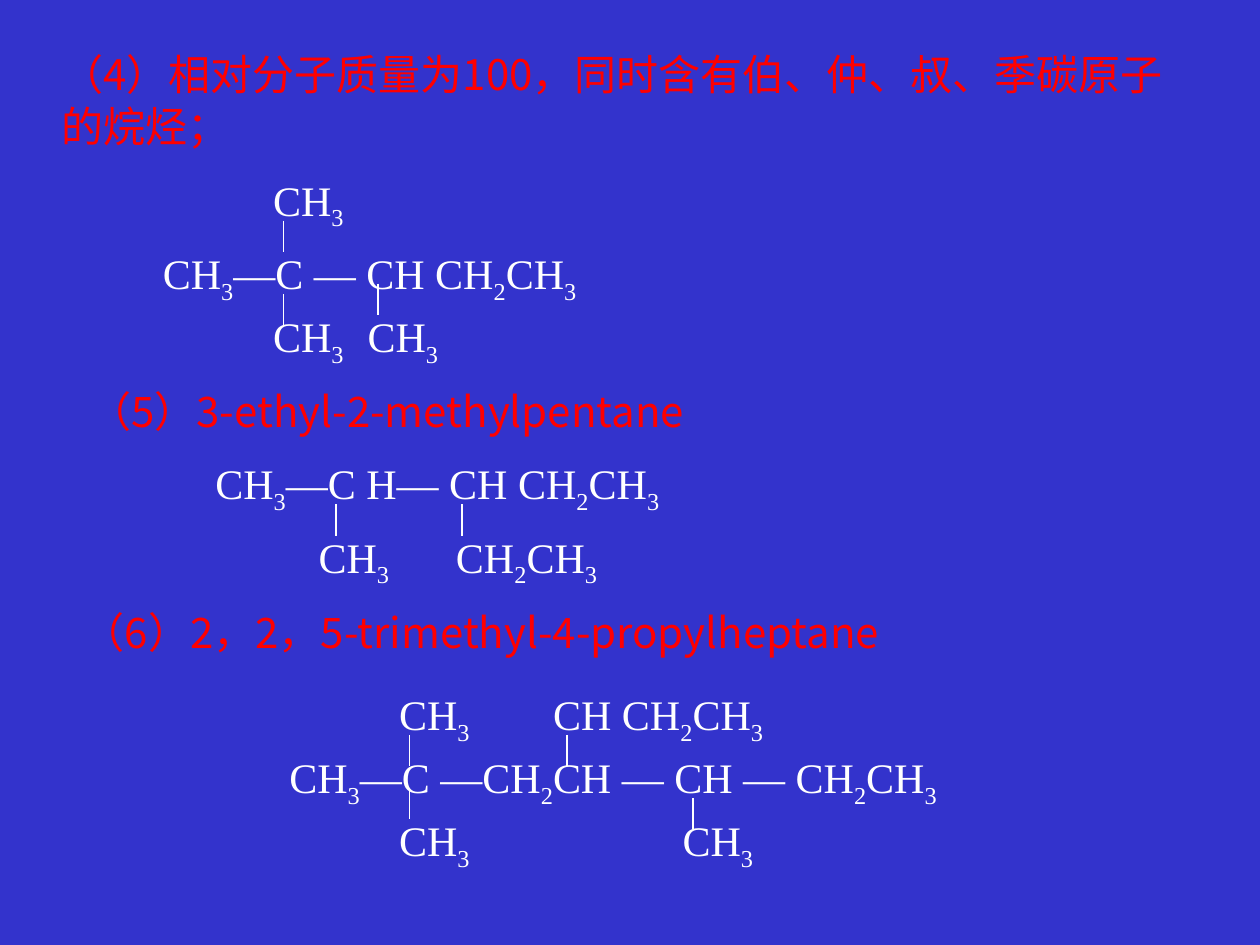
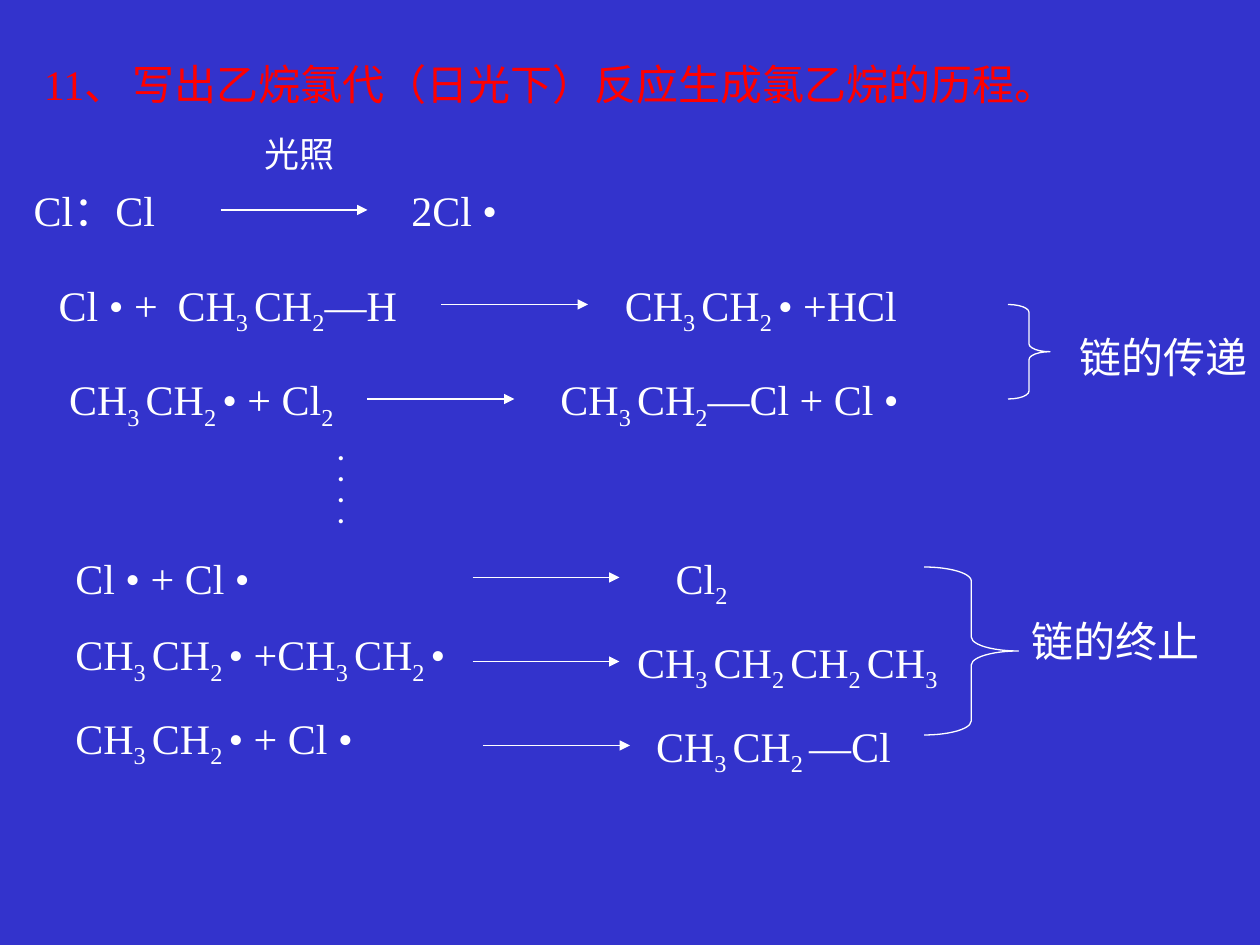
from lxml.etree import SubElement
from pptx import Presentation
from pptx.dml.color import RGBColor
from pptx.enum.shapes import MSO_CONNECTOR, MSO_SHAPE
from pptx.enum.text import MSO_AUTO_SIZE, PP_ALIGN
from pptx.oxml.ns import qn
from pptx.util import Pt

COLORS = {"back": "3333CC", "title": "FF0000", "ink": "FFFFFF"}
SANS = "Noto Sans CJK SC"
SERIF = "Times New Roman"
BOND = 18
ARROW = 84
METHYL = ("CH_3", 56)


def paint(name):
    return RGBColor.from_string(COLORS[name])


def add_page(deck):
    slide = deck.slides.add_slide(deck.slide_layouts[6])
    slide.background.fill.solid()
    slide.background.fill.fore_color.rgb = paint("back")
    return slide


def add_run(para, text, low=False, size=None):
    if text:
        run = para.add_run()
        run.text = text
        if low:
            run.font._element.set("baseline", "-25000")
        if size:
            run.font.size = Pt(size)


def fill_para(para, line):
    plain, *parts = line.split("_")
    add_run(para, plain)
    for part in parts:
        size = 2 if part[1:2] == " " else 1
        add_run(para, part[:size], True)
        add_run(para, part[size:])


def add_text(slide, box, text, color="ink", face=SERIF, size=24,
             wrap=False, gap=0, tab=None, align=PP_ALIGN.LEFT):
    frame = slide.shapes.add_textbox(*map(Pt, box)).text_frame
    frame.word_wrap = wrap
    frame.auto_size = MSO_AUTO_SIZE.SHAPE_TO_FIT_TEXT
    for i, line in enumerate(text.split("\n")):
        para = frame.paragraphs[0] if i == 0 else frame.add_paragraph()
        para.alignment = align
        if i and gap:
            para.space_before = Pt(gap)
        if tab:
            tabs = SubElement(para._p.get_or_add_pPr(), qn("a:tabLst"))
            SubElement(tabs, qn("a:tab"), pos=str(Pt(tab)), algn="l")
        fill_para(para, line)
        font = para.font
        font.size = Pt(size)
        font.color.rgb = paint(color)
        font.name = face
        SubElement(font._element, qn("a:ea"), typeface=SANS)
    return frame


def add_line(slide, x, y, dx, dy, head=False):
    ends = map(Pt, (x, y, x + dx, y + dy))
    line = slide.shapes.add_connector(MSO_CONNECTOR.STRAIGHT, *ends)
    line.line.color.rgb = paint("ink")
    line.line.width = Pt(0.75)
    if head:
        SubElement(line.line._get_or_add_ln(), qn("a:tailEnd"), type="triangle")
    SubElement(line._element.spPr, qn("a:effectLst"))


def add_brace(slide, box, label, left, top):
    x, y, width, height = box
    brace = slide.shapes.add_shape(MSO_SHAPE.RIGHT_BRACE, *map(Pt, box))
    brace.shadow.inherit = False
    brace.fill.background()
    brace.line.color.rgb = paint("ink")
    brace.line.width = Pt(0.75)
    brace.adjustments[0] = height / 12 / width
    add_text(slide, (x + left, y + top, 112, 36), label)


def add_alkane(slide, x, y, groups, bonds):
    for dx, dy, text, width in groups:
        add_text(slide, (x + dx, y + dy, width, 40.3), text)
    for dx, dy in bonds:
        add_line(slide, x + dx, y + dy, 0, BOND)


def add_step(slide, y, start, arrow, end):
    for part in (start, end):
        if part:
            x, width, text = part
            high = 40.3 if "_" in text else 36
            tab = 67.9 if "\t" in text else None
            add_text(slide, (x, y, width, high), text, tab=tab)
    add_line(slide, arrow, y + BOND, ARROW, 0, True)


def names_page(deck):
    slide = add_page(deck)
    heads = [
        ((28, 24, 669, 67), "（4）相对分子质量为100，同时含有伯、仲、叔、季碳原子\n的烷烃；"),
        ((44, 217, 377, 36), "（5）3-ethyl-2-methylpentane"),
        ((40.3, 343, 516, 36), "（6）2，2，5-trimethyl-4-propylheptane"),
    ]
    for box, text in heads:
        add_text(slide, box, text, "title", SANS, gap=1)

    add_alkane(slide, 86, 96, [
        (0, 42, "CH_3—C — CH CH_2CH_3", 253),
        (63, 0, *METHYL), (63, 78, *METHYL), (117, 78, *METHYL),
    ], [(76, 30), (76, 72), (130, 66)])
    add_alkane(slide, 116, 258, [
        (0, 0, "CH_3—C H— CH CH_2CH_3", 270),
        (59, 42, *METHYL), (137.5, 42, "CH_2CH_3", 97),
    ], [(76, 30), (148, 30)])
    add_alkane(slide, 158, 390, [
        (0.3, 36, "CH_3—C —CH_2CH — CH — CH_2CH_3", 387),
        (63, 0, *METHYL), (63, 72, *METHYL), (225, 72, *METHYL),
        (151, 0, "CH CH_2CH_3", 137),
    ], [(76, 30), (76, 60), (166, 30), (238, 66)])


def steps_page(deck):
    slide = add_page(deck)
    title = add_text(slide, (18, 30, 630, 36), "11、", "title",
                     wrap=True, align=PP_ALIGN.JUSTIFY).paragraphs[0]
    add_run(title, " ", size=16)
    add_run(title, "写出乙烷氯代（日光下）反应生成氯乙烷的历程。")
    add_text(slide, (144, 72, 57, 31.7), "光照", size=20)
    steps = [
        (102, (12.2, 98, "Cl：Cl"), 126, (228, 66, "2Cl •")),
        (156, (26.5, 210, "Cl • +\tCH_3 CH_2—H"), 252, (350, 172, "CH_3 CH_2 • +HCl")),
        (210, (32.4, 168, "CH_3 CH_2 • + Cl_2"), 210, (313.2, 210, "CH_3 CH_2—Cl + Cl •")),
        (312, None, 270, (379, 52, "Cl_2")),
        (360, None, 270, (357, 206, "CH_3 CH_2 CH_2 CH_3")),
        (408, None, 276, (367.8, 156, "CH_3 CH_2 —Cl")),
    ]
    for step in steps:
        add_step(slide, *step)
    add_text(slide, (36, 312, 252, 132),
             "Cl • + Cl •\nCH_3 CH_2 • +CH_3 CH_2 •\nCH_3 CH_2 • + Cl •", wrap=True, gap=15)
    add_text(slide, (186, 252, 18, 55.4), "\n".join("•" * 4), size=10, wrap=True)
    add_brace(slide, (576, 174, 24, 54), "链的传递", 34, 12)
    add_brace(slide, (528, 324, 54, 96), "链的终止", 54.5, 24)


def main():
    deck = Presentation()
    deck.slide_width, deck.slide_height = Pt(720), Pt(540)
    names_page(deck)
    steps_page(deck)
    deck.save("out.pptx")


if __name__ == "__main__":
    main()
